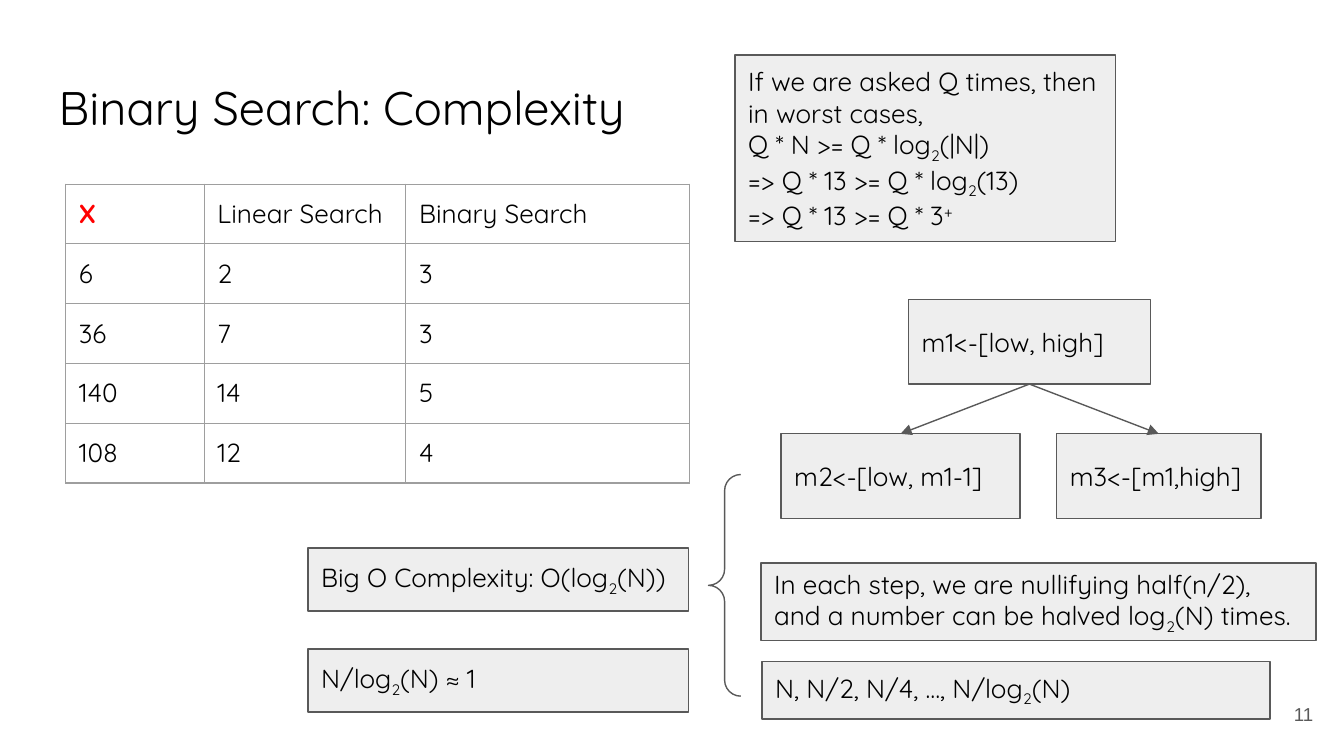
from pptx import Presentation
from pptx import util as u
from pptx.dml.color import RGBColor
from pptx.enum import shapes, text
from pptx.oxml import ns
from lxml import etree

Cm, Pt = u.Cm, u.Pt
COLORS = {"ink": "000000", "accent": "FF0000", "panel": "EEEEEE",
          "line": "595959", "grid": "9E9E9E", "paper": "FFFFFF"}
FONT = "Quicksand"
INSET = Cm(0.25)
TOP, BOTTOM, LEFT = 0, 2, 1  # connection sites of a rectangle


def color(name):
    return RGBColor.from_string(COLORS[name])


def style_font(font, size=14, ink="ink", name=FONT, bold=False):
    font.name, font.size, font.bold = name, Pt(size), bold
    font.color.rgb = color(ink)


def style_frame(frame, anchor=text.MSO_ANCHOR.MIDDLE):
    frame.word_wrap = True
    frame.auto_size = text.MSO_AUTO_SIZE.NONE
    frame.vertical_anchor = anchor
    frame.margin_left = frame.margin_right = INSET
    frame.margin_top = frame.margin_bottom = INSET


def style_line(line):
    line.color.rgb = color("line")
    line.width = Pt(0.75)


def add_formula(paragraph, pieces):
    """Write pieces in turn; every second one is a subscript, or a raised plus."""
    paragraph.alignment = text.PP_ALIGN.LEFT
    for index, piece in enumerate(pieces):
        run = paragraph.add_run()
        run.text = piece
        style_font(run.font)
        if index % 2:
            run.font._element.set("baseline", "30000" if piece == "+" else "-25000")


def add_panel(slide, box, *lines):
    """Grey box with one paragraph for each tuple of formula pieces."""
    panel = slide.shapes.add_shape(shapes.MSO_SHAPE.RECTANGLE, *map(Cm, box))
    panel.shadow.inherit = False
    panel.fill.solid()
    panel.fill.fore_color.rgb = color("panel")
    style_line(panel.line)
    frame = panel.text_frame
    style_frame(frame)
    for index, pieces in enumerate(lines):
        add_formula(frame.add_paragraph() if index else frame.paragraphs[0], pieces)
    return panel


def add_arrow(slide, parent, child):
    arrow = slide.shapes.add_connector(shapes.MSO_CONNECTOR.STRAIGHT, 0, 0, 0, 0)
    arrow.begin_connect(parent, BOTTOM)
    arrow.end_connect(child, TOP)
    style_line(arrow.line)
    line = arrow.line._get_or_add_ln()
    etree.SubElement(line, ns.qn("a:tailEnd"), type="triangle")
    etree.SubElement(arrow._element.spPr, ns.qn("a:effectLst"))


def add_title(slide, box):
    title = slide.shapes.title
    title.left, title.top, title.width, title.height = map(Cm, box)
    frame = title.text_frame
    frame.text = "Binary Search: Complexity"
    style_frame(frame, text.MSO_ANCHOR.TOP)
    frame.paragraphs[0].alignment = text.PP_ALIGN.LEFT
    style_font(frame.paragraphs[0].runs[0].font, 25.2)


def add_page_number(slide, box):
    frame = slide.shapes.add_textbox(*map(Cm, box)).text_frame
    frame.text = "11"
    style_frame(frame)
    frame.paragraphs[0].alignment = text.PP_ALIGN.RIGHT
    style_font(frame.paragraphs[0].runs[0].font, 10, "line", "Arial")


def style_cell(cell, ink, bold):
    cell.margin_left = cell.margin_right = INSET
    cell.margin_top = cell.margin_bottom = INSET
    style_font(cell.text_frame.paragraphs[0].runs[0].font, ink=ink, bold=bold)
    properties = cell._tc.get_or_add_tcPr()
    for side in ("lnL", "lnR", "lnT", "lnB"):
        border = etree.SubElement(properties, ns.qn(f"a:{side}"), w=str(Pt(0.75)))
        fill = etree.SubElement(border, ns.qn("a:solidFill"))
        etree.SubElement(fill, ns.qn("a:srgbClr"), val=COLORS["grid"])
    cell.fill.background()


def add_step_table(slide, box):
    """Steps each search needs to find X."""
    rows = [("X", "Linear Search", "Binary Search"), ("6", "2", "3"),
            ("36", "7", "3"), ("140", "14", "5"), ("108", "12", "4")]
    frame = slide.shapes.add_table(len(rows), len(rows[0]), *map(Cm, box))
    table = frame.table
    table.first_row = table.horz_banding = False
    for column, width in zip(table.columns, (2.62, 3.81, 5.36)):
        column.width = Cm(width)
    for r, row in enumerate(rows):
        for c, value in enumerate(row):
            cell = table.cell(r, c)
            cell.text = value
            is_key = value == "X"
            style_cell(cell, "accent" if is_key else "ink", is_key)


def add_range_tree(slide, box):
    """Search range m1 and the two halves it splits into."""
    left, top, width, height = box
    node_height, right_width = 1.6, 3.86
    lower = top + height - node_height
    root = add_panel(slide, (left + 2.41, top, 4.57, node_height), ("m1<-[low, high]",))
    halves = [
        add_panel(slide, (left, lower, 4.52, node_height), ("m2<-[low, m1-1]",)),
        add_panel(slide, (left + width - right_width, lower, right_width, node_height),
                  ("m3<-[m1,high]",)),
    ]
    for half in halves:
        add_arrow(slide, root, half)


def add_reasoning(slide, box):
    """Conclusions on the left, a brace, and the steps behind them on the right."""
    left, top, width, height = box
    results = [("Big O Complexity: O(log", "2", "(N))"), ("N/log", "2", "(N) ≈ 1")]
    for index, pieces in enumerate(results):
        add_panel(slide, (left, top + 1.39 + 1.91 * index, 7.19, 1.19), pieces)
    brace = slide.shapes.add_shape(shapes.MSO_SHAPE.LEFT_BRACE, Cm(left + 7.57),
                                   Cm(top), Cm(0.61), Cm(height))
    brace.adjustments[0] = brace.adjustments[1] = 0.5
    brace.shadow.inherit = False
    brace.fill.background()
    style_line(brace.line)
    add_panel(slide, (left + width - 10.49, top + 1.67, 10.49, 1.47),
              ("In each step, we are nullifying half(n/2), and a number can be halved log",
               "2", "(N) times."))
    add_panel(slide, (left + 8.58, top + 3.53, 9.6, 1.09),
              ("N, N/2, N/4, …, N/log", "2", "(N)"))


def add_query_note(slide, box):
    add_panel(slide, box,
              ("If we are asked Q times, then in worst cases,",),
              ("Q * N >= Q * log", "2", "(|N|)"),
              ("=> Q * 13 >= Q * log", "2", "(13)"),
              ("=> Q * 13 >= Q * 3", "+"))


def main():
    presentation = Presentation()
    presentation.slide_width, presentation.slide_height = Cm(25.4), Cm(14.29)
    slide = presentation.slides.add_slide(presentation.slide_layouts[5])
    slide.background.fill.solid()
    slide.background.fill.fore_color.rgb = color("paper")
    add_title(slide, (0.86, 1.24, 23.67, 1.6))
    add_page_number(slide, (23.55, 12.95, 1.52, 1.09))
    add_step_table(slide, (1.24, 3.48, 11.79, 5.65))
    add_query_note(slide, (13.89, 1.04, 7.19, 3.53))
    add_range_tree(slide, (14.76, 5.66, 9.07, 4.14))
    add_reasoning(slide, (5.82, 8.97, 19.05, 4.19))
    presentation.save("out.pptx")


if __name__ == "__main__":
    main()
